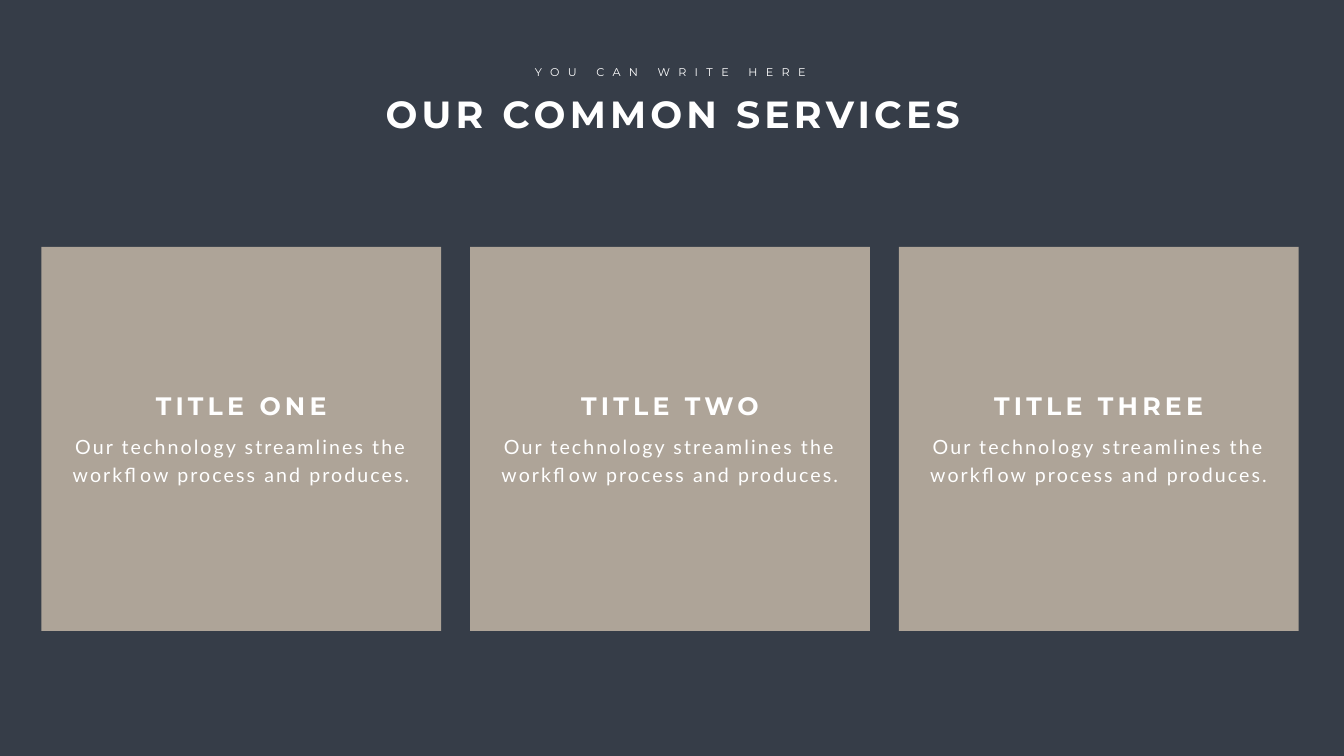
from lxml.etree import SubElement
from pptx import Presentation
from pptx.dml.color import RGBColor
from pptx.enum.shapes import MSO_SHAPE
from pptx.enum.text import MSO_ANCHOR, MSO_AUTO_SIZE, PP_ALIGN
from pptx.oxml.ns import qn
from pptx.util import Inches, Pt

COLORS = {"background": "363D48", "card": "CCBEAC", "text": "FFFFFF"}
CARD_LEFT, CARD_TOP, CARD_WIDTH, CARD_HEIGHT = 0.82, 4.9, 7.93, 7.62
CARD_PITCH = 8.505
BODY_WIDTH = 7.28
BODY = "Our technology streamlines the workflow process and produces."
# Card titles with the widths of their boxes
CARDS = [("TITLE ONE", 3.68), ("TITLE TWO", 3.81), ("TITLE THREE", 4.43)]


def rgb(name):
    return RGBColor.from_string(COLORS[name])


def format_text(sp, text, size, font, spacing, bold=False, wrap=True):
    """Fill a shape with one centred, letter-spaced paragraph."""
    tf = sp.text_frame
    tf.text = text
    tf.word_wrap = wrap
    tf.auto_size = MSO_AUTO_SIZE.SHAPE_TO_FIT_TEXT
    tf.vertical_anchor = MSO_ANCHOR.TOP
    p = tf.paragraphs[0]
    p.alignment = PP_ALIGN.CENTER
    p.space_before = Pt(0)
    p.line_spacing = 1.0
    r = p.runs[0]
    r.font.size = Pt(size)
    r.font.name = font
    r.font.bold = bold
    r.font.color.rgb = rgb("text")
    r.font._element.set("spc", str(spacing * 100))


def add_label(s, left, top, width, height, *style, **options):
    sp = s.shapes.add_textbox(Inches(left), Inches(top), Inches(width), Inches(height))
    format_text(sp, *style, **options)
    return sp


def add_title(s, text):
    sp = s.shapes.title
    sp.left, sp.top = Inches(7.15), Inches(1.74)
    sp.width, sp.height = Inches(12.4), Inches(1.01)
    format_text(sp, text, 54, "Montserrat", 6, bold=True)


def add_panel(s, left):
    sp = s.shapes.add_shape(MSO_SHAPE.RECTANGLE, Inches(left), Inches(CARD_TOP),
                            Inches(CARD_WIDTH), Inches(CARD_HEIGHT))
    sp.shadow.inherit = False
    sp.line.fill.background()
    sp.fill.solid()
    sp.fill.fore_color.rgb = rgb("card")
    color = sp._element.spPr.find(qn("a:solidFill")).find(qn("a:srgbClr"))
    SubElement(color, qn("a:alpha")).set("val", "80000")


def add_card_text(s, left, title, title_width):
    center = left + CARD_WIDTH / 2
    add_label(s, center - title_width / 2, 7.69, title_width, 0.71,
              title, 36, "Montserrat", 6, bold=True, wrap=False)
    body = add_label(s, center - BODY_WIDTH / 2, 8.4, BODY_WIDTH, 1.33,
                     BODY, 28, "Lato", 3)
    tf = body.text_frame
    tf.margin_left = tf.margin_right = Inches(0.24)
    tf.margin_top = tf.margin_bottom = Inches(0.12)
    tf.paragraphs[0].line_spacing = Pt(40.8)


def main():
    prs = Presentation()
    prs.slide_width, prs.slide_height = Inches(26.66), Inches(15)
    s = prs.slides.add_slide(prs.slide_layouts[5])
    s.background.fill.solid()
    s.background.fill.fore_color.rgb = rgb("background")

    # Heading
    add_title(s, "OUR COMMON SERVICES")
    add_label(s, 10.41, 1.24, 5.78, 0.37, "YOU CAN WRITE HERE",
              16, "Montserrat", 12, wrap=False)

    # Service cards
    for i, (title, width) in enumerate(CARDS):
        left = CARD_LEFT + i * CARD_PITCH
        add_panel(s, left)
        add_card_text(s, left, title, width)

    prs.save("out.pptx")


if __name__ == "__main__":
    main()
